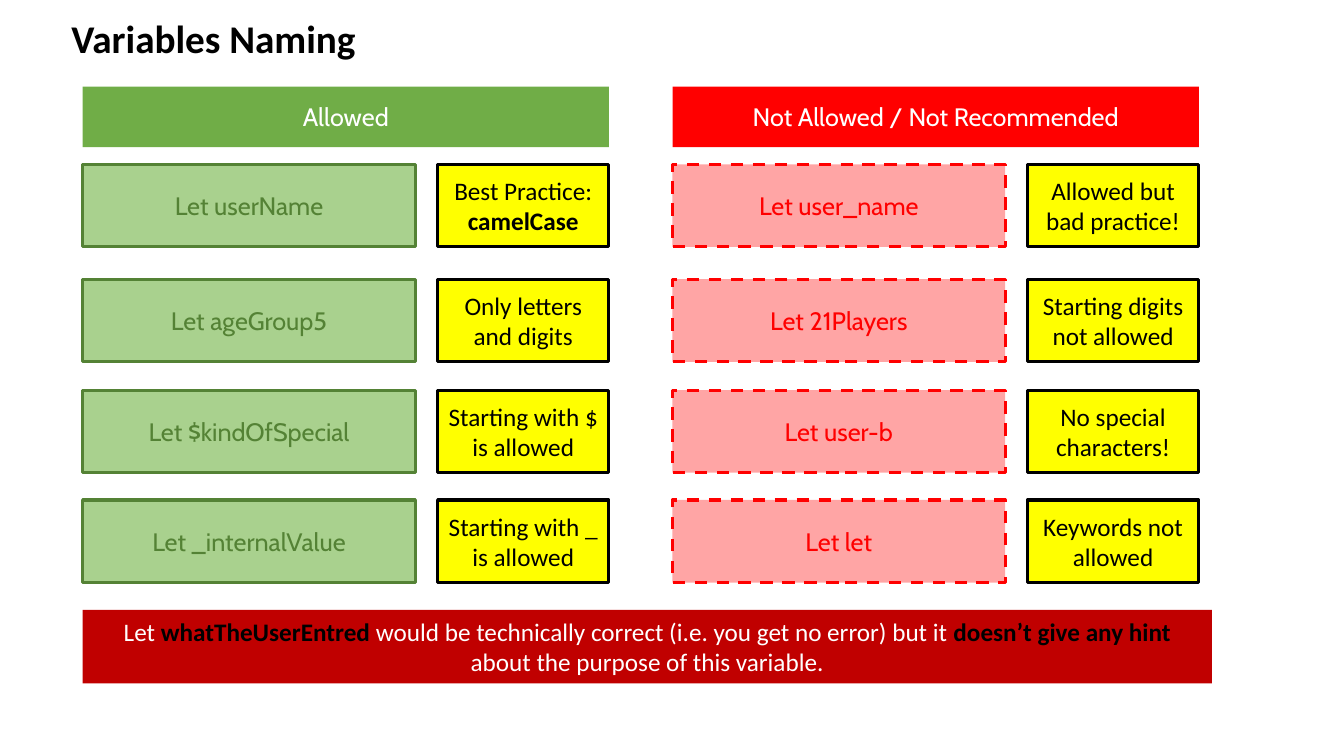
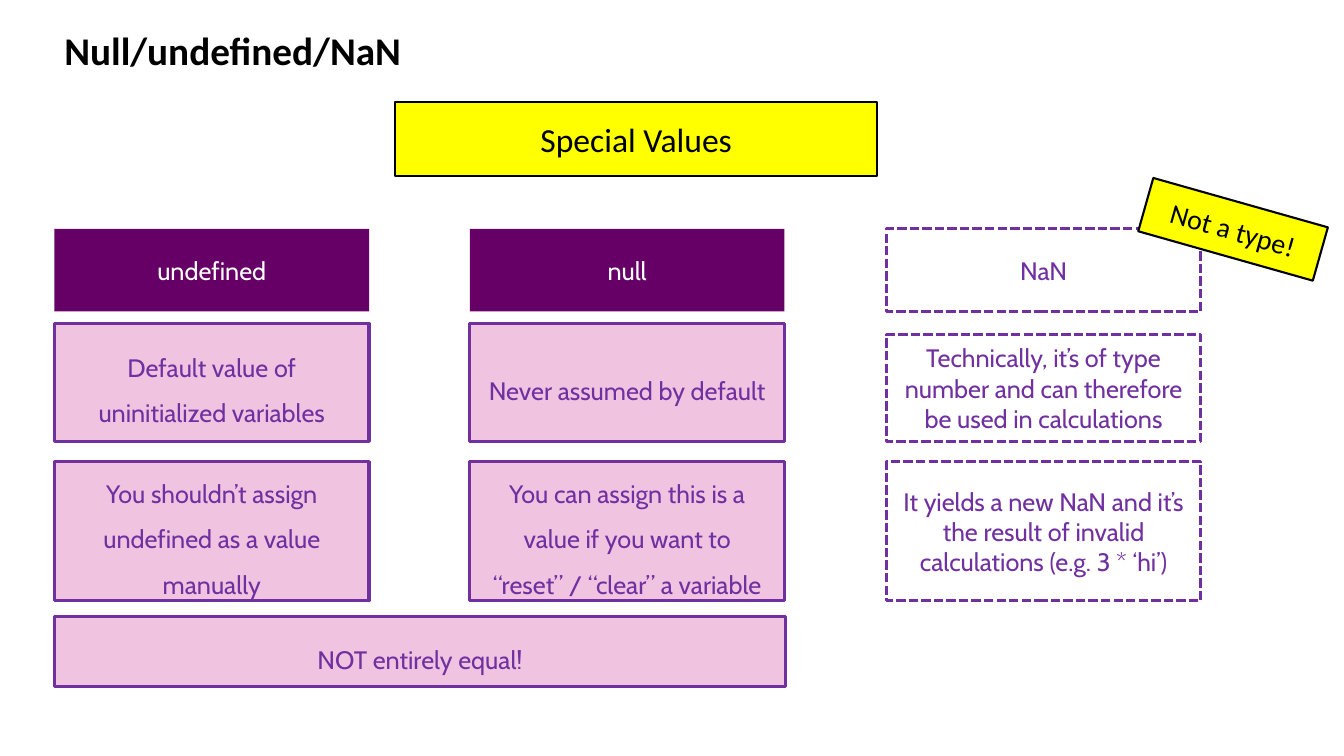
"""Build two slides on JavaScript variable naming and special values."""
from dataclasses import dataclass, replace
from typing import NamedTuple, Optional

from lxml.etree import SubElement
from pptx import Presentation
from pptx.dml.color import RGBColor
from pptx.enum.dml import MSO_LINE_DASH_STYLE as Dash
from pptx.enum.shapes import MSO_SHAPE as Preset
from pptx.enum.text import MSO_ANCHOR as Anchor, MSO_AUTO_SIZE as AutoSize, PP_ALIGN as Align
from pptx.oxml.ns import qn
from pptx.util import Inches, Pt

COLORS = {
    "black": "000000", "white": "FFFFFF", "yellow": "FFFF00",
    "green": "70AD47", "pale_green": "A9D18E", "dark_green": "548235",
    "red": "FF0000", "coral": "FF5050", "dark_red": "C00000",
    "plum": "660066", "pink": "CC3399", "purple": "7030A0",
}
HEADING_FONT, CODE_FONT = "Calibri", "Cabin"


@dataclass(frozen=True)
class Style:
    fill: Optional[str] = None
    alpha: int = 100
    line: Optional[str] = None
    line_width: float = 2.25
    dash: Optional[Dash] = None
    font: str = CODE_FONT
    size: int = 18
    color: str = "white"
    spacing: Optional[float] = None


class Area(NamedTuple):
    left: float
    top: float
    width: float
    height: float


class Span(NamedTuple):
    text: str
    color: Optional[str] = None
    bold: bool = False


class NamingColumn(NamedTuple):
    left: float
    heading: str
    heading_style: Style
    name_style: Style
    rows: list


class ValueColumn(NamedTuple):
    left: float
    heading: str
    heading_style: Style
    detail_style: Style
    first_top: float
    details: tuple


NOTE = Style(fill="yellow", line="black", font=HEADING_FONT, color="black")
GOOD_NAME = Style(fill="pale_green", line="dark_green", color="dark_green")
BAD_NAME = Style(fill="coral", alpha=51, line="red", dash=Dash.DASH, color="red")
VALUE = Style(fill="plum")
DETAIL = Style(fill="pink", alpha=29, line="purple", color="purple", spacing=1.5)
OUTLINE = Style(line="purple", dash=Dash.SQUARE_DOT, color="purple")
LABEL = replace(NOTE, line_width=1.5)

ROW_TOPS = (1.63, 2.77, 3.87, 4.96)
NAMING_COLUMNS = (
    NamingColumn(0.82, "Allowed", Style(fill="green"), GOOD_NAME, [
        ("Let userName", [["Best Practice:"], [Span("camelCase", bold=True)]]),
        ("Let ageGroup5", "Only letters and digits"),
        ("Let $kindOfSpecial", "Starting with $ is allowed"),
        ("Let _internalValue", "Starting with _ is allowed"),
    ]),
    NamingColumn(6.67, "Not Allowed / Not Recommended", Style(fill="red"), BAD_NAME, [
        ("Let user_name", "Allowed but bad practice!"),
        ("Let 21Players", "Starting digits not allowed"),
        ("Let user-b", "No special characters!"),
        ("Let let", "Keywords not allowed"),
    ]),
)
NAMING_ADVICE = [[
    "Let ",
    Span("whatTheUserEntred ", "black", True),
    "would be technically correct (i.e. you get no error) but it ",
    Span("doesn’t give any hint ", "black", True),
    "about the purpose of this variable.",
]]
VALUE_COLUMNS = (
    ValueColumn(0.54, "undefined", VALUE, DETAIL, 3.21, (
        "Default value of uninitialized variables",
        "You shouldn’t assign undefined as a value manually",
    )),
    ValueColumn(4.66, "null", VALUE, DETAIL, 3.21, (
        "Never assumed by default",
        "You can assign this is a value if you want to “reset” / “clear” a variable",
    )),
    ValueColumn(8.79, "NaN", OUTLINE, OUTLINE, 3.32, (
        "Technically, it’s of type number and can therefore be used in calculations",
        "It yields a new NaN and it’s the result of invalid calculations (e.g. 3 * ‘hi’)",
    )),
)


def rgb(name: str) -> RGBColor:
    return RGBColor.from_string(COLORS[name])


def add_span(para, text: str, *, font: str, size: int, color: str, bold: bool = False) -> None:
    span = para.add_run()
    span.text = text
    span.font.name = font
    span.font.size = Pt(size)
    span.font.bold = bold
    span.font.color.rgb = rgb(color)


def add_title(page, text: str, left: float, top: float) -> None:
    box = page.shapes.add_textbox(Inches(left), Inches(top), Inches(4.78), Inches(0.57))
    box.text_frame.word_wrap = True
    box.text_frame.auto_size = AutoSize.SHAPE_TO_FIT_TEXT
    add_span(box.text_frame.paragraphs[0], text,
             font=HEADING_FONT, size=28, color="black", bold=True)


def paint(box, style: Style) -> None:
    box.shadow.inherit = False
    if style.fill:
        box.fill.solid()
        box.fill.fore_color.rgb = rgb(style.fill)
        if style.alpha < 100:
            tint = box.fill._xPr.find(qn("a:solidFill"))[0]
            SubElement(tint, qn("a:alpha"), val=str(style.alpha * 1000))
    else:
        box.fill.background()
    if style.line:
        box.line.color.rgb = rgb(style.line)
        box.line.width = Pt(style.line_width)
        if style.dash:
            box.line.dash_style = style.dash
    else:
        box.line.fill.background()


def add_box(page, area: Area, content, style: Style, rotation: float = 0) -> None:
    box = page.shapes.add_shape(Preset.RECTANGLE, *map(Inches, area))
    box.rotation = rotation
    paint(box, style)
    frame = box.text_frame
    frame.word_wrap = True
    frame.vertical_anchor = Anchor.MIDDLE
    paragraphs = [[content]] if isinstance(content, str) else content
    for index, spans in enumerate(paragraphs):
        para = frame.add_paragraph() if index else frame.paragraphs[0]
        para.alignment = Align.CENTER
        if style.spacing:
            para.line_spacing = style.spacing
        for item in spans:
            span = Span(item) if isinstance(item, str) else item
            add_span(para, span.text, font=style.font, size=style.size,
                     color=span.color or style.color, bold=span.bold)


def build_naming(page) -> None:
    add_title(page, "Variables Naming", 0.61, 0.09)
    for column in NAMING_COLUMNS:
        add_box(page, Area(column.left, 0.86, 5.22, 0.6), column.heading, column.heading_style)
        for top, (name, note) in zip(ROW_TOPS, column.rows):
            add_box(page, Area(column.left, top, 3.3, 0.82), name, column.name_style)
            add_box(page, Area(column.left + 3.52, top, 1.7, 0.82), note, NOTE)
    add_box(page, Area(0.82, 6.05, 11.2, 0.73), NAMING_ADVICE,
            Style(fill="dark_red", font=HEADING_FONT))


def build_values(page) -> None:
    add_title(page, "Null/undefined/NaN", 0.54, 0.21)
    add_box(page, Area(3.92, 1.01, 4.78, 0.74), "Special Values", replace(LABEL, size=24))
    for column in VALUE_COLUMNS:
        add_box(page, Area(column.left, 2.27, 3.12, 0.82), column.heading, column.heading_style)
        spans = ((column.first_top, 4.38), (4.58, 5.96))
        for (top, bottom), detail in zip(spans, column.details):
            add_box(page, Area(column.left, top, 3.12, bottom - top), detail, column.detail_style)
    add_box(page, Area(0.54, 6.12, 7.25, 0.69), "NOT entirely equal!", DETAIL)
    add_box(page, Area(11.33, 2, 1.8, 0.55), "Not a type!", replace(LABEL, size=20), rotation=15.8)


def main() -> None:
    deck = Presentation()
    deck.slide_width, deck.slide_height = Inches(13.33), Inches(7.5)
    for build in (build_naming, build_values):
        build(deck.slides.add_slide(deck.slide_layouts[6]))
    deck.save("out.pptx")


if __name__ == "__main__":
    main()
